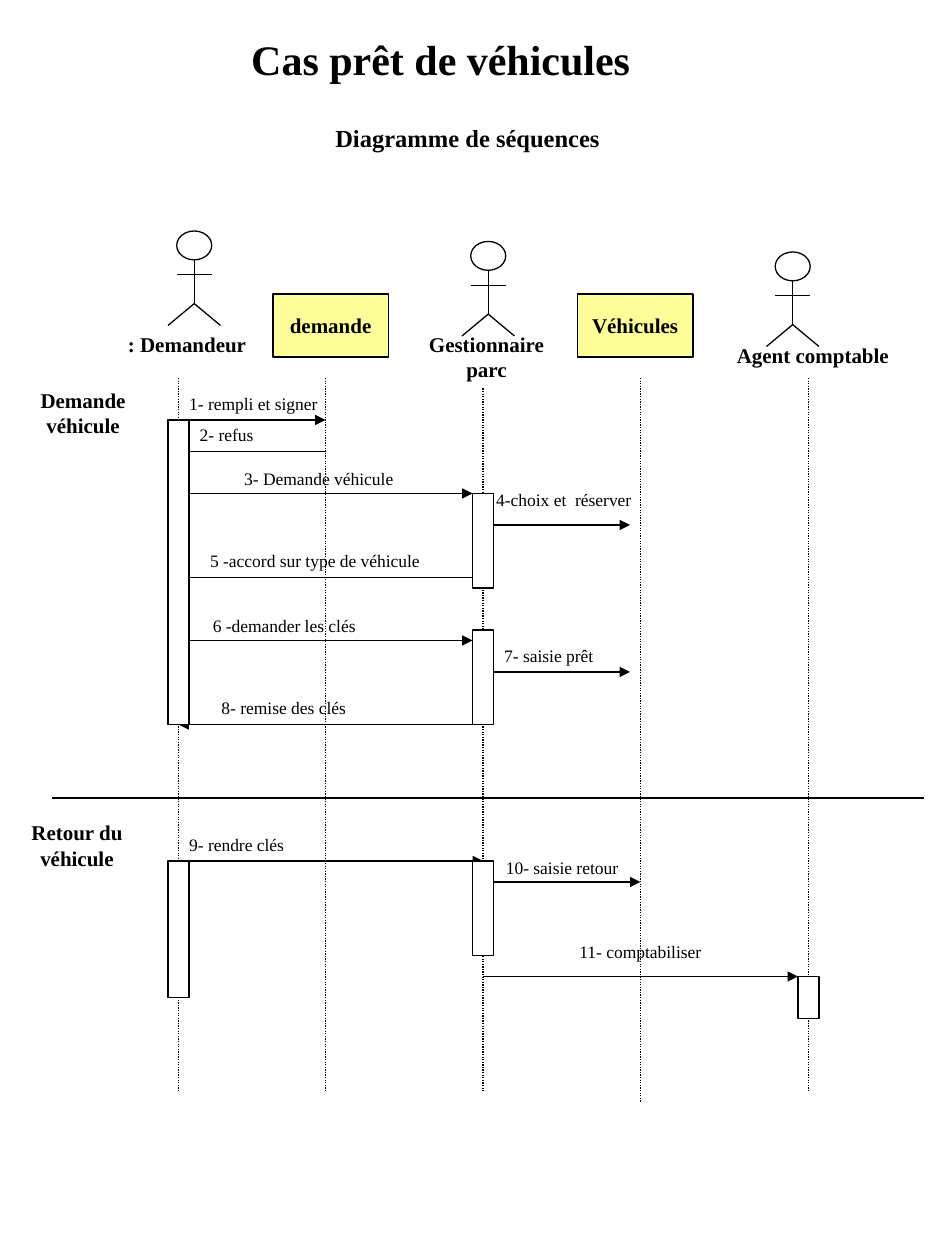
from lxml import etree
from pptx import Presentation
from pptx.dml.color import RGBColor
from pptx.enum.dml import MSO_LINE
from pptx.enum.shapes import MSO_CONNECTOR, MSO_SHAPE
from pptx.enum.text import MSO_ANCHOR, MSO_AUTO_SIZE, PP_ALIGN
from pptx.oxml.ns import qn
from pptx.util import Pt

STRAIGHT = MSO_CONNECTOR.STRAIGHT
RECT, OVAL = MSO_SHAPE.RECTANGLE, MSO_SHAPE.OVAL
DOTTED = MSO_LINE.ROUND_DOT
LEFT, CENTER = PP_ALIGN.LEFT, PP_ALIGN.CENTER
FIT, MIDDLE = MSO_AUTO_SIZE.SHAPE_TO_FIT_TEXT, MSO_ANCHOR.MIDDLE
TOP, BOTTOM = 0, 2

FONT = "Times New Roman"
COLORS = {"ink": "000000", "paper": "FFFFFF", "object": "FFFF99"}
BAR_W = 12
DEMANDEUR, DEMANDE, GESTIONNAIRE, VEHICULES, COMPTABLE = 102, 186, 276, 366, 462

ACTORS = [(111, 132), (279, 138), (453, 144)]
OBJECTS = [("demande", 156), ("Véhicules", 330)]
LIFELINES = [(DEMANDEUR, 216, 624), (DEMANDE, 216, 624), (GESTIONNAIRE, 222, 624),
             (VEHICULES, 216, 630), (COMPTABLE, 216, 624)]
HEADINGS = [
    (": Demandeur", 66, 186, 84, LEFT),
    ("Gestionnaire\nparc", 237, 186, 82, CENTER),
    ("Agent comptable", 414, 192, 103, LEFT),
    ("Demande\nvéhicule", 15, 218, 65, CENTER),
    ("Retour du\nvéhicule", 9, 465, 70, CENTER),
]
MESSAGES = [
    ("1- rempli et signer", 101, 221, 90, DEMANDEUR, DEMANDE, 240),
    ("2- refus", 107, 239, 48, DEMANDE, DEMANDEUR, 258),
    ("3- Demande véhicule", 132.5, 264, 102, DEMANDEUR, 270, 282),
    ("4-choix et  réserver", 276.5, 276, 94, GESTIONNAIRE, 360, 300),
    ("5 -accord sur type de véhicule", 113, 311, 137, GESTIONNAIRE, DEMANDEUR, 330),
    ("6 -demander les clés", 114.5, 348, 98, DEMANDEUR, 270, 366),
    ("7- saisie prêt", 281, 365, 68, GESTIONNAIRE, 360, 384),
    ("8- remise des clés", 119.5, 394.5, 88, 270, DEMANDEUR, 414),
    ("9- rendre clés", 101, 473, 71, DEMANDEUR, GESTIONNAIRE, 492),
    ("10- saisie retour", 282, 486, 81, GESTIONNAIRE, VEHICULES, 504),
    ("11- comptabiliser", 324, 534, 87, GESTIONNAIRE, 456, 558),
]
BARS = [(DEMANDEUR, 240, 174), (GESTIONNAIRE, 282, 54), (GESTIONNAIRE, 360, 54),
        (DEMANDEUR, 492, 78), (GESTIONNAIRE, 492, 54), (COMPTABLE, 558, 24)]


def color(name):
    """Return the named colour."""
    return RGBColor.from_string(COLORS[name])


def write(tf, text, size=12, bold=True, align=LEFT):
    """Write one formatted paragraph per line of text, without wrapping."""
    tf.word_wrap = False
    for i, line in enumerate(text.split("\n")):
        p = tf.add_paragraph() if i else tf.paragraphs[0]
        p.alignment = align
        r = p.add_run()
        r.text = line
        r.font.name, r.font.size, r.font.bold = FONT, Pt(size), bold
        r.font.color.rgb = color("ink")


def add_label(s, text, x, y, w, **fmt):
    """Add a text box that grows with its text."""
    size = fmt.get("size", 12)
    h = 7.2 + 1.2 * size * len(text.split("\n"))
    tf = s.shapes.add_textbox(Pt(x), Pt(y), Pt(w), Pt(h)).text_frame
    write(tf, text, **fmt)
    tf.auto_size = FIT


def add_box(shapes, kind, x, y, w, h, fill="paper"):
    """Add an outlined, filled shape."""
    sp = shapes.add_shape(kind, Pt(x), Pt(y), Pt(w), Pt(h))
    sp.shadow.inherit = False
    sp.fill.solid()
    sp.fill.fore_color.rgb = color(fill)
    sp.line.color.rgb = color("ink")
    sp.line.width = Pt(0.75)
    return sp


def add_line(shapes, x1, y1, x2, y2, dash=None, arrow=False):
    """Add a straight connector, dotted or with an arrowhead on request."""
    c = shapes.add_connector(STRAIGHT, Pt(x1), Pt(y1), Pt(x2), Pt(y2))
    c.line.color.rgb = color("ink")
    c.line.width = Pt(0.75)
    if dash:
        c.line.dash_style = dash
    props = c._element.spPr
    if arrow:
        etree.SubElement(props.find(qn("a:ln")), qn("a:tailEnd"), type="triangle")
    etree.SubElement(props, qn("a:effectLst"))
    return c


def add_actor(s, x, y):
    """Add a grouped stick figure centred on x with its head at y."""
    shapes = s.shapes.add_group_shape().shapes
    add_line(shapes, x, y + 16.5, x, y + 41.5)
    add_box(shapes, OVAL, x - 10, y, 20, 16.5)
    add_line(shapes, x - 10, y + 25, x + 10, y + 25)
    for foot in (-15, 15):
        add_line(shapes, x, y + 41.5, x + foot, y + 54)


def add_message(s, text, x, y, w, start, end, level):
    """Add a message arrow with its label and return the arrow."""
    arrow = add_line(s.shapes, start, level, end, level, arrow=True)
    add_label(s, text, x, y, w, size=10, bold=False)
    return arrow


def main():
    """Build the sequence diagram slide."""
    prs = Presentation()
    prs.slide_width, prs.slide_height = Pt(540), Pt(720)
    s = prs.slides.add_slide(prs.slide_layouts[6])

    add_label(s, "Cas prêt de véhicules", 136.5, 15.5, 233, size=24)
    add_label(s, "Diagramme de séquences", 184.5, 67, 168, size=14)
    for x, y in ACTORS:
        add_actor(s, x, y)
    for text, x in OBJECTS:
        sp = add_box(s.shapes, RECT, x, 168, 66, 36, fill="object")
        sp.text_frame.vertical_anchor = MIDDLE
        write(sp.text_frame, text, align=CENTER)
    for x, top, bottom in LIFELINES:
        add_line(s.shapes, x, top, x, bottom, dash=DOTTED)
    for text, x, y, w, align in HEADINGS:
        add_label(s, text, x, y, w, align=align)
    add_line(s.shapes, 30, 456, 528, 456)

    arrows = [add_message(s, *message) for message in MESSAGES]
    bars = [add_box(s.shapes, RECT, x - BAR_W / 2, y, BAR_W, h) for x, y, h in BARS]
    arrows[0].begin_connect(bars[0], TOP)
    arrows[7].end_connect(bars[0], BOTTOM)
    arrows[8].begin_connect(bars[3], TOP)
    arrows[8].end_connect(bars[4], TOP)

    prs.save("out.pptx")


if __name__ == "__main__":
    main()
